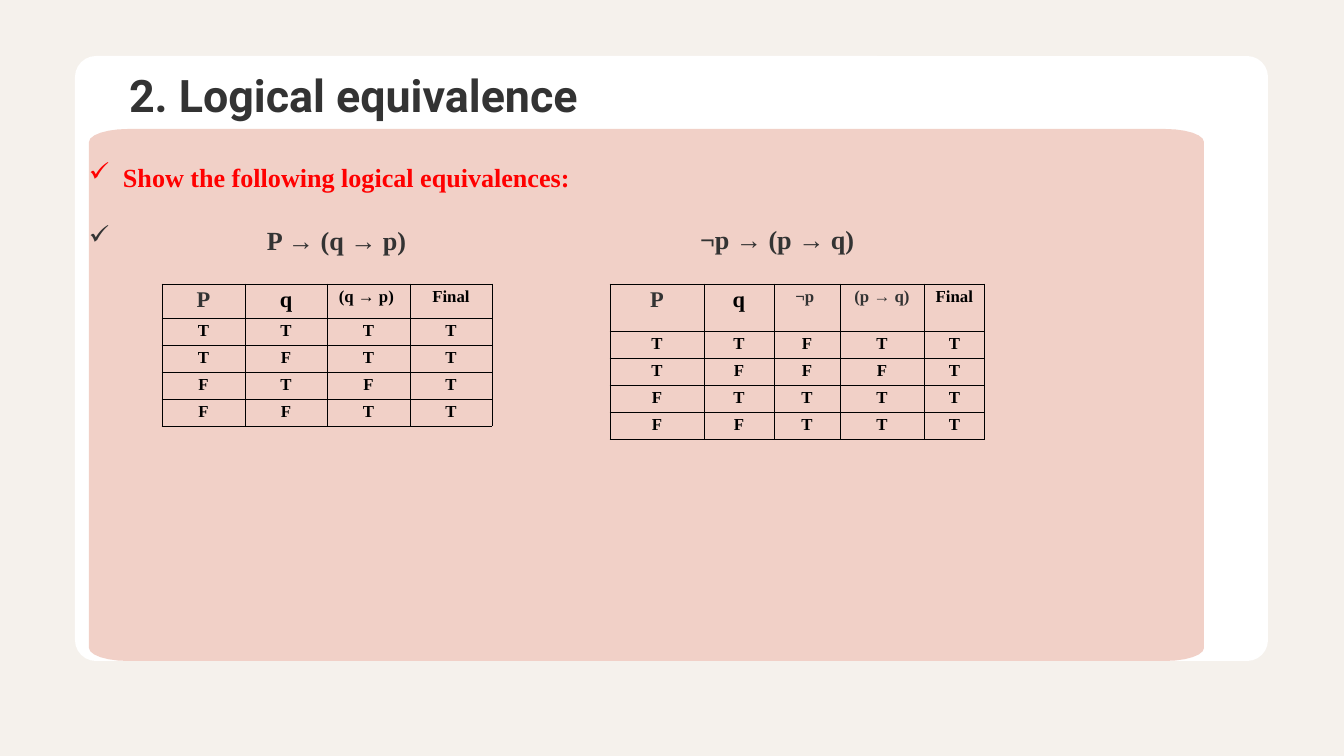
"""Build the logical equivalence slide with its two truth tables."""
from math import cos, radians, sin

from lxml.etree import SubElement
from pptx import Presentation
from pptx.dml.color import RGBColor
from pptx.enum.shapes import MSO_SHAPE
from pptx.enum.text import MSO_ANCHOR, PP_ALIGN
from pptx.oxml.ns import qn
from pptx.util import Emu, Pt

PX = 13607
INK, BLACK, RED = "333333", "000000", "FF0000"
SERIF = "Times New Roman"


def rgb(value):
    return RGBColor.from_string(value)


def add_run(paragraph, text, size, color, font=SERIF):
    run = paragraph.add_run()
    run.text = text
    run.font.name = font
    run.font.size = Pt(size)
    run.font.bold = True
    run.font.color.rgb = rgb(color)


prs = Presentation()
prs.slide_width, prs.slide_height = Emu(1344 * PX), Emu(756 * PX)
slide = prs.slides.add_slide(prs.slide_layouts[5])
slide.background.fill.solid()
slide.background.fill.fore_color.rgb = rgb("F5F1EC")

card = slide.shapes.add_shape(
    MSO_SHAPE.ROUNDED_RECTANGLE, 75 * PX, 56 * PX, 1193 * PX, 605 * PX)
card.adjustments[0] = 21 / 605

left, top, right, bottom = 89, 129, 1204, 661
corner_x, corner_y = 39, 13
centers = [
    (right - corner_x, bottom - corner_y),
    (left + corner_x, bottom - corner_y),
    (left + corner_x, top + corner_y),
    (right - corner_x, top + corner_y),
]
outline = []
for quarter, (x, y) in enumerate(centers):
    for step in range(0, 91, 15):
        angle = radians(90 * quarter + step)
        outline.append((round((x + corner_x * cos(angle)) * PX),
                        round((y + corner_y * sin(angle)) * PX)))
builder = slide.shapes.build_freeform(*outline[0])
builder.add_line_segments(outline[1:], close=True)
panel = builder.convert_to_shape()

for surface, color in ((card, "FFFFFF"), (panel, "F1D0C7")):
    surface.shadow.inherit = False
    surface.fill.solid()
    surface.fill.fore_color.rgb = rgb(color)
    surface.line.fill.background()

title = slide.shapes.title
title.left, title.top, title.width, title.height = (
    129 * PX, 68 * PX, 868 * PX, 109 * PX)
slide.shapes._spTree.append(title._element)

second_formula = slide.shapes.add_textbox(700 * PX, 223 * PX, 300 * PX, 34 * PX)
for holder in (title, panel, second_formula):
    frame = holder.text_frame
    frame.word_wrap = True
    frame.vertical_anchor = MSO_ANCHOR.TOP
    frame.margin_left = frame.margin_top = 0
    frame.margin_right = frame.margin_bottom = 0
    frame.paragraphs[0].alignment = PP_ALIGN.LEFT

add_run(title.text_frame.paragraphs[0], "2. Logical equivalence", 48, INK, "Roboto")
add_run(second_formula.text_frame.paragraphs[0], "¬p → (p → q)", 28, INK)

panel.text_frame.margin_top = 32 * PX
prompt = panel.text_frame.paragraphs[0]
first_formula = panel.text_frame.add_paragraph()
first_formula.alignment = PP_ALIGN.LEFT
first_formula.space_before = Pt(34)
for paragraph, text, color, indent in (
    (prompt, "Show the following logical equivalences:", RED, 34),
    (first_formula, "P → (q → p)", INK, 178),
):
    properties = paragraph._p.get_or_add_pPr()
    properties.set("marL", str(indent * PX))
    properties.set("indent", str(-indent * PX))
    SubElement(properties, qn("a:buChar")).set("char", "✓")
    add_run(paragraph, text, 28, color)

truth_tables = [
    (162, [83, 82, 83, 82], 34,
     [("P", INK, 24), ("q", BLACK, 24), ("(q → p) ", BLACK, 18), ("Final", BLACK, 18)],
     ["TTTT", "TFTT", "FTFT", "FFTT"]),
    (610, [94, 70, 66, 84, 61], 47,
     [("P", INK, 24), ("q", BLACK, 24), ("¬p ", INK, 18), ("(p → q)", INK, 18),
      ("Final", BLACK, 18)],
     ["TTFTT", "TFFFT", "FTTTT", "FFTTT"]),
]
for table_left, widths, header_height, header, values in truth_tables:
    rows = [header] + [[(value, BLACK, 18) for value in row] for row in values]
    heights = [header_height] + [27] * len(values)
    table = slide.shapes.add_table(
        len(rows), len(widths), table_left * PX, 284 * PX,
        sum(widths) * PX, sum(heights) * PX).table
    table.first_row = table.horz_banding = False
    for column, width in zip(table.columns, widths):
        column.width = Emu(width * PX)
    for row_index, (row, height) in enumerate(zip(rows, heights)):
        table.rows[row_index].height = Emu(height * PX)
        for column_index, (text, color, size) in enumerate(row):
            cell = table.cell(row_index, column_index)
            cell_properties = cell._tc.get_or_add_tcPr()
            for side in ("a:lnL", "a:lnR", "a:lnT", "a:lnB"):
                border = SubElement(cell_properties, qn(side), w=str(Pt(1)))
                stroke = SubElement(border, qn("a:solidFill"))
                SubElement(stroke, qn("a:srgbClr"), val=BLACK)
            cell.fill.background()
            paragraph = cell.text_frame.paragraphs[0]
            paragraph.alignment = PP_ALIGN.CENTER
            add_run(paragraph, text, size, color)

prs.save("out.pptx")
